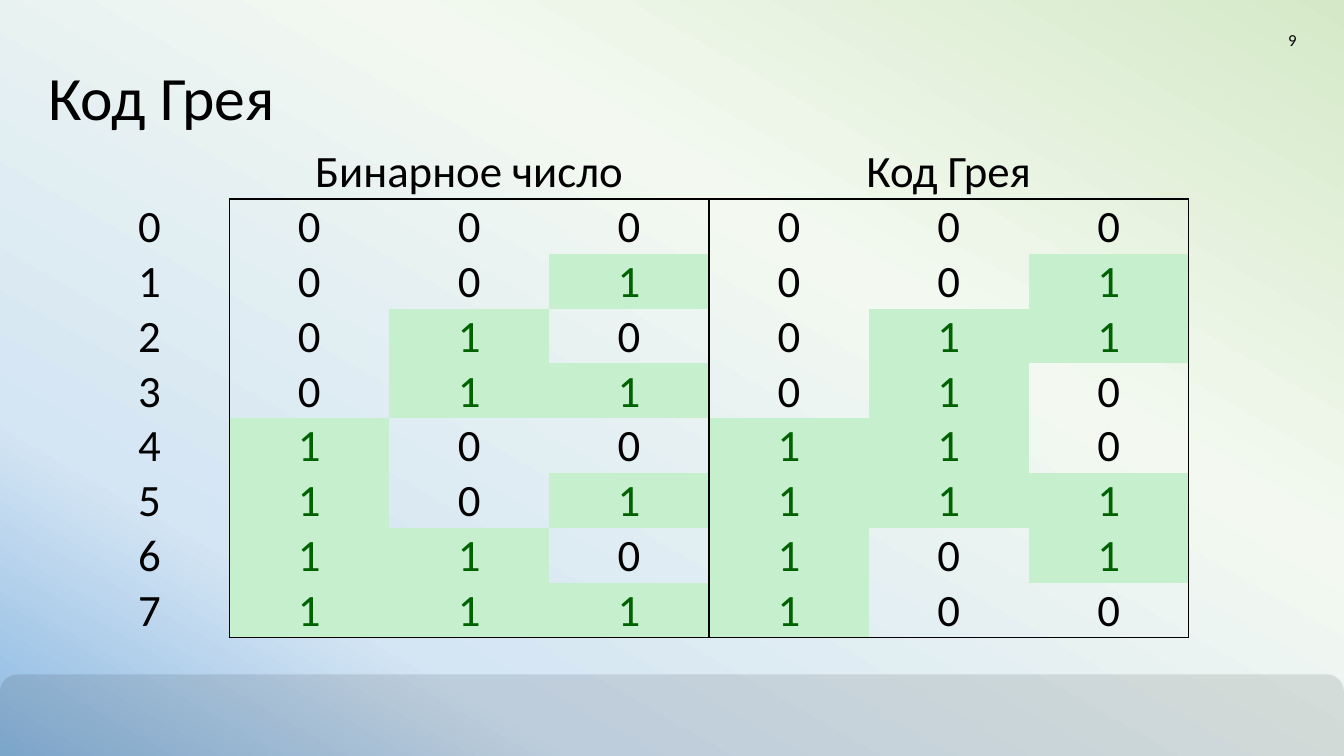
from lxml import etree
from pptx import Presentation
from pptx.dml.color import RGBColor
from pptx.enum.shapes import MSO_SHAPE
from pptx.enum.text import MSO_ANCHOR, MSO_AUTO_SIZE, PP_ALIGN
from pptx.oxml.ns import qn
from pptx.util import Inches, Pt

ROUNDED = MSO_SHAPE.ROUNDED_RECTANGLE
MIDDLE = MSO_ANCHOR.MIDDLE
NO_AUTOFIT = MSO_AUTO_SIZE.NONE
LEFT, CENTER, RIGHT = PP_ALIGN.LEFT, PP_ALIGN.CENTER, PP_ALIGN.RIGHT

FONT = "Calibri"
COLORS = {"ink": "000000", "one_text": "006100", "one_fill": "C6EFCE"}
GRADIENT = [(0, "D5E9C8"), (36, "F3F9F0"), (78, "D4E5F4"), (100, "8BB8E1")]
BITS = 3
NUMBERS = 2 ** BITS


def write(frame, text, size, align, color="ink"):
    """Fill a text frame with one formatted, vertically centred paragraph."""
    frame.text = text
    frame.vertical_anchor = MIDDLE
    para = frame.paragraphs[0]
    para.alignment = align
    font = para.runs[0].font
    font.name, font.size = FONT, Pt(size)
    font.color.rgb = RGBColor.from_string(COLORS[color])


def set_borders(cell, visible):
    """Draw the sides named in visible (letters of LRTB) and clear the rest."""
    properties = cell._tc.get_or_add_tcPr()
    for side in "LRTB":
        line = etree.SubElement(properties, qn(f"a:ln{side}"), w=str(Pt(1)))
        if side in visible:
            fill = etree.SubElement(line, qn("a:solidFill"))
            etree.SubElement(fill, qn("a:srgbClr"), val=COLORS["ink"])
        else:
            etree.SubElement(line, qn("a:noFill"))


deck = Presentation()
deck.slide_width, deck.slide_height = Inches(13.33), Inches(7.5)
page = deck.slides.add_slide(deck.slide_layouts[5])

# Background gradient, from the top right to the bottom left
background = page.background.fill
background.gradient()
background.gradient_angle = 240
stops = page.element.find(".//" + qn("a:gsLst"))
for stop in list(stops):
    stops.remove(stop)
for position, color in GRADIENT:
    stop = etree.SubElement(stops, qn("a:gs"), pos=str(position * 1000))
    etree.SubElement(stop, qn("a:srgbClr"), val=color)

# Footer bar
bar = page.shapes.add_shape(ROUNDED, 0, Inches(6.69), deck.slide_width, Inches(1.04))
bar.shadow.inherit = False
bar.line.fill.background()
bar.fill.solid()
bar.fill.fore_color.rgb = RGBColor.from_string(COLORS["ink"])
bar_color = bar.fill._xPr.find(".//" + qn("a:srgbClr"))
etree.SubElement(bar_color, qn("a:alpha"), val="10000")

# Title and page number
title = page.shapes.title
title.left, title.top = Inches(0.38), Inches(0.61)
title.width, title.height = Inches(12.58), Inches(0.78)
title.text_frame.auto_size = NO_AUTOFIT
write(title.text_frame, "Код Грея", 44, LEFT)
title.text_frame.paragraphs[0].line_spacing = 0.9

number_box = page.shapes.add_textbox(Inches(9.96), Inches(0.2), Inches(3), Inches(0.4))
number_box.text_frame.word_wrap = True
write(number_box.text_frame, "9", 12, RIGHT)

# Table: number, its binary digits, its Gray code digits
rows = [["", "Бинарное число", "", "", "Код Грея", "", ""]]
for number in range(NUMBERS):
    gray = number ^ (number >> 1)
    rows.append([str(number), *f"{number:03b}", *f"{gray:03b}"])

table = page.shapes.add_table(len(rows), len(rows[0]), Inches(0.69), Inches(1.43),
                              Inches(11.1), Inches(4.72)).table
table.first_row = table.horz_banding = False
for column in table.columns:
    column.width = Inches(11.1 / len(rows[0]))
for index, row in enumerate(table.rows):
    row.height = Inches(0.54 if index in (0, NUMBERS) else 0.52)

for r, values in enumerate(rows):
    for c, value in enumerate(values):
        cell = table.cell(r, c)
        sides = ""
        if c > 0:
            sides += "L" if r > 0 and c % BITS == 1 else ""
            sides += "R" if r > 0 and c % BITS == 0 else ""
            sides += "T" if r == 1 else ""
            sides += "B" if r in (0, NUMBERS) else ""
        set_borders(cell, sides)

        is_one = r > 0 and c > 0 and value == "1"
        if is_one:
            cell.fill.solid()
            cell.fill.fore_color.rgb = RGBColor.from_string(COLORS["one_fill"])
        else:
            cell.fill.background()

        if value:
            cell.margin_left = cell.margin_right = cell.margin_top = Inches(0.01)
            cell.margin_bottom = 0
            write(cell.text_frame, value, 32, CENTER, "one_text" if is_one else "ink")
            cell.vertical_anchor = MIDDLE

for first in (1, 1 + BITS):
    table.cell(0, first).merge(table.cell(0, first + BITS - 1))

deck.save("out.pptx")
